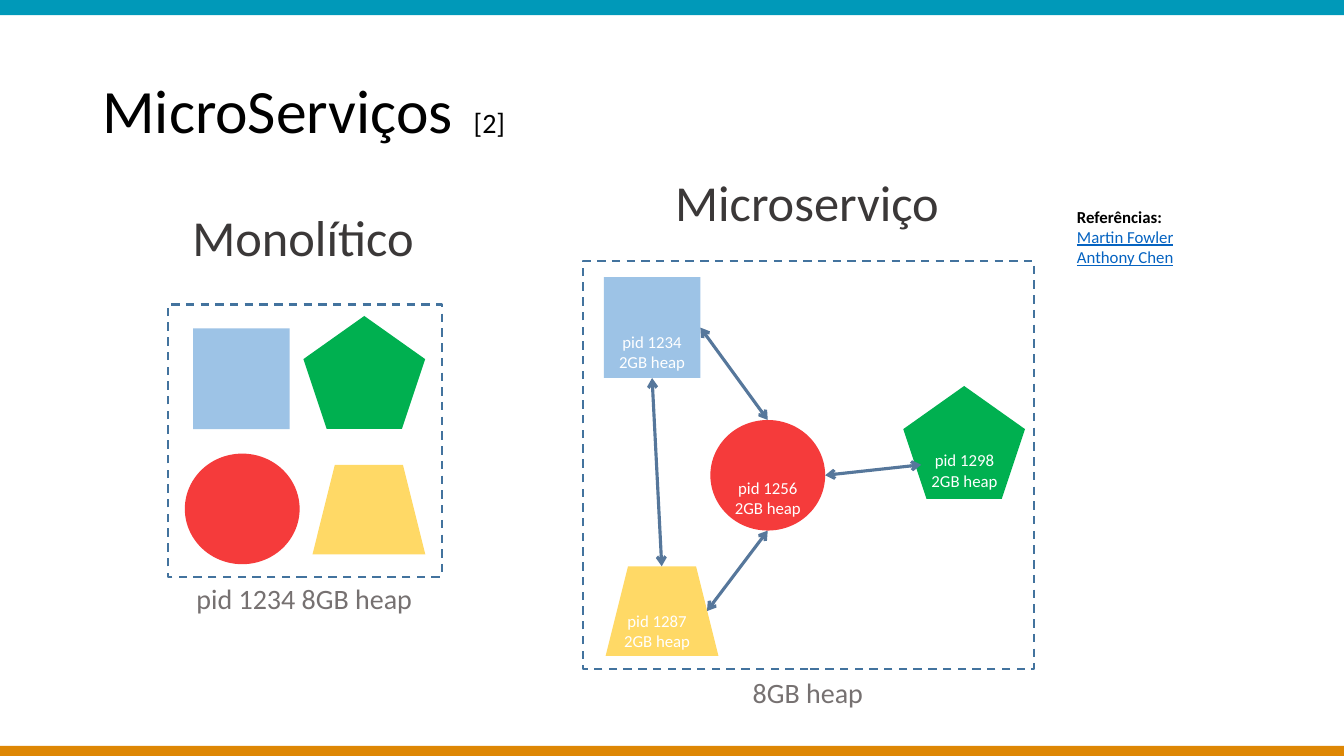
from dataclasses import dataclass

from lxml.etree import SubElement
from pptx import Presentation
from pptx.dml.color import RGBColor
from pptx.enum.dml import MSO_LINE
from pptx.enum.shapes import MSO_CONNECTOR, MSO_SHAPE
from pptx.enum.text import MSO_ANCHOR, PP_ALIGN
from pptx.oxml.ns import qn
from pptx.shapes.autoshape import Shape
from pptx.shapes.shapetree import _BaseShapes as ShapeTree
from pptx.util import Pt

FONT = "Calibri"
BLACK = RGBColor(0x00, 0x00, 0x00)
WHITE = RGBColor(0xFF, 0xFF, 0xFF)
TEAL = RGBColor(0x00, 0x99, 0xB9)
ORANGE = RGBColor(0xDE, 0x87, 0x04)
BLUE = RGBColor(0x9D, 0xC3, 0xE6)
GREEN = RGBColor(0x00, 0xB0, 0x50)
RED = RGBColor(0xF5, 0x3B, 0x3B)
YELLOW = RGBColor(0xFF, 0xD9, 0x66)
FRAME_BLUE = RGBColor(0x43, 0x73, 0x9E)
ARROW_BLUE = RGBColor(0x56, 0x77, 0x9B)
LINK_BLUE = RGBColor(0x05, 0x63, 0xC1)
HEADING_GRAY = RGBColor(0x3B, 0x38, 0x38)
CAPTION_GRAY = RGBColor(0x76, 0x71, 0x71)


@dataclass(frozen=True)
class Area:
    left: float
    top: float
    width: float
    height: float


@dataclass(frozen=True)
class Module:
    preset: MSO_SHAPE
    fill: RGBColor
    width: float
    height: float


@dataclass(frozen=True)
class Span:
    text: str
    size: float
    color: RGBColor
    bold: bool = False
    underline: bool = False


@dataclass(frozen=True)
class Service:
    module: Module
    left: float
    top: float
    label_left: float
    label_top: float
    pid: int


@dataclass(frozen=True)
class Panel:
    frame: Area
    heading: str
    heading_area: Area
    caption: str
    caption_area: Area


SQUARE = Module(MSO_SHAPE.RECTANGLE, BLUE, 69, 72)
PENTAGON = Module(MSO_SHAPE.REGULAR_PENTAGON, GREEN, 87, 80.7)
CIRCLE = Module(MSO_SHAPE.OVAL, RED, 82, 79)
TRAPEZOID = Module(MSO_SHAPE.TRAPEZOID, YELLOW, 80.6, 64)

MONOLITH = Panel(
    Area(120, 217.5, 195.5, 194.5),
    "Monolítico", Area(130.3, 144, 174.2, 51),
    "pid 1234 8GB heap", Area(133.2, 412, 170, 31.5),
)
MICROSERVICE = Panel(
    Area(416.3, 186.5, 322.4, 291.3),
    "Microserviço", Area(475.2, 118.8, 204.5, 51),
    "8GB heap", Area(530.6, 478.8, 94.3, 31.5),
)
MONOLITH_MODULES = [
    (SQUARE, 138, 234.5),
    (PENTAGON, 216.7, 225.7),
    (CIRCLE, 132, 324),
    (TRAPEZOID, 223.2, 332),
]
SERVICES = [
    Service(SQUARE, 431.3, 198, 431.3, 233.5, 1234),
    Service(CIRCLE, 507.4, 300, 514, 337.5, 1256),
    Service(PENTAGON, 645.2, 275.7, 654.5, 318, 1298),
    Service(TRAPEZOID, 432.6, 404.5, 434.9, 432.5, 1287),
]
ARROWS = [
    ((500.3, 234), (548.4, 300)),
    ((465.8, 270), (472.7, 404.5)),
    ((589.4, 339.5), (658, 332)),
    ((505, 436.5), (548.4, 379)),
]


def add_figure(shapes: ShapeTree, preset: MSO_SHAPE, area: Area,
               fill: RGBColor | None = None) -> Shape:
    figure = shapes.add_shape(preset, Pt(area.left), Pt(area.top),
                              Pt(area.width), Pt(area.height))
    figure.shadow.inherit = False
    figure.line.fill.background()
    if fill is None:
        figure.fill.background()
    else:
        figure.fill.solid()
        figure.fill.fore_color.rgb = fill
    return figure


def add_frame(shapes: ShapeTree, area: Area) -> None:
    frame = add_figure(shapes, MSO_SHAPE.RECTANGLE, area)
    frame.line.color.rgb = FRAME_BLUE
    frame.line.width = Pt(1.5)
    frame.line.dash_style = MSO_LINE.DASH


def add_module(shapes: ShapeTree, module: Module, left: float, top: float) -> None:
    area = Area(left, top, module.width, module.height)
    add_figure(shapes, module.preset, area, module.fill)


def add_text(shapes: ShapeTree, area: Area, paragraphs: list[list[Span]], *,
             wrap: bool = False, align: PP_ALIGN = PP_ALIGN.LEFT,
             anchor: MSO_ANCHOR = MSO_ANCHOR.TOP, spacing: float = 1.0) -> None:
    box = shapes.add_textbox(Pt(area.left), Pt(area.top),
                             Pt(area.width), Pt(area.height))
    frame = box.text_frame
    frame.word_wrap = wrap
    frame.vertical_anchor = anchor
    for index, spans in enumerate(paragraphs):
        para = frame.add_paragraph() if index else frame.paragraphs[0]
        para.alignment = align
        para.line_spacing = spacing
        for span in spans:
            run = para.add_run()
            run.text = span.text
            run.font.name = FONT
            run.font.size = Pt(span.size)
            run.font.color.rgb = span.color
            run.font.bold = span.bold
            run.font.underline = span.underline


def add_arrow(shapes: ShapeTree, start: tuple[float, float],
              end: tuple[float, float]) -> None:
    arrow = shapes.add_connector(MSO_CONNECTOR.STRAIGHT, *map(Pt, start + end))
    arrow.line.color.rgb = ARROW_BLUE
    arrow.line.width = Pt(2.25)
    outline = arrow.line._get_or_add_ln()
    for tip in ("a:headEnd", "a:tailEnd"):
        SubElement(outline, qn(tip), type="arrow")
    SubElement(arrow._element.spPr, qn("a:effectLst"))


def add_panel(shapes: ShapeTree, panel: Panel) -> None:
    add_frame(shapes, panel.frame)
    add_text(shapes, panel.heading_area, [[Span(panel.heading, 36, HEADING_GRAY)]])
    add_text(shapes, panel.caption_area, [[Span(panel.caption, 20, CAPTION_GRAY)]])


def main() -> None:
    deck = Presentation()
    deck.slide_width, deck.slide_height = Pt(960), Pt(540)
    page = deck.slides.add_slide(deck.slide_layouts[6])

    for top, color in ((0, TEAL), (532.8, ORANGE)):
        add_figure(page.shapes, MSO_SHAPE.RECTANGLE, Area(0, top, 960, 10.8), color)

    add_text(page.shapes, Area(66, 28.8, 828, 104.4),
             [[Span("MicroServiços ", 44, BLACK), Span(" [2]", 20, BLACK)]],
             wrap=True, anchor=MSO_ANCHOR.MIDDLE, spacing=0.9)
    authors = [[Span(name, 12, LINK_BLUE, underline=True)]
               for name in ("Martin Fowler", "Anthony Chen")]
    add_text(page.shapes, Area(762.2, 144, 84.2, 51),
             [[Span("Referências:", 12, BLACK, bold=True)], *authors])

    monolith = page.shapes.add_group_shape().shapes
    add_panel(monolith, MONOLITH)
    for module, left, top in MONOLITH_MODULES:
        add_module(monolith, module, left, top)

    microservice = page.shapes.add_group_shape().shapes
    for service in SERVICES:
        add_module(microservice, service.module, service.left, service.top)
    for start, end in ARROWS:
        add_arrow(microservice, start, end)
    for service in SERVICES:
        lines = (f"pid {service.pid}", "2GB heap")
        add_text(microservice, Area(service.label_left, service.label_top, 69, 36),
                 [[Span(line, 12, WHITE)] for line in lines],
                 wrap=True, align=PP_ALIGN.CENTER)
    add_panel(microservice, MICROSERVICE)

    deck.save("out.pptx")


if __name__ == "__main__":
    main()
